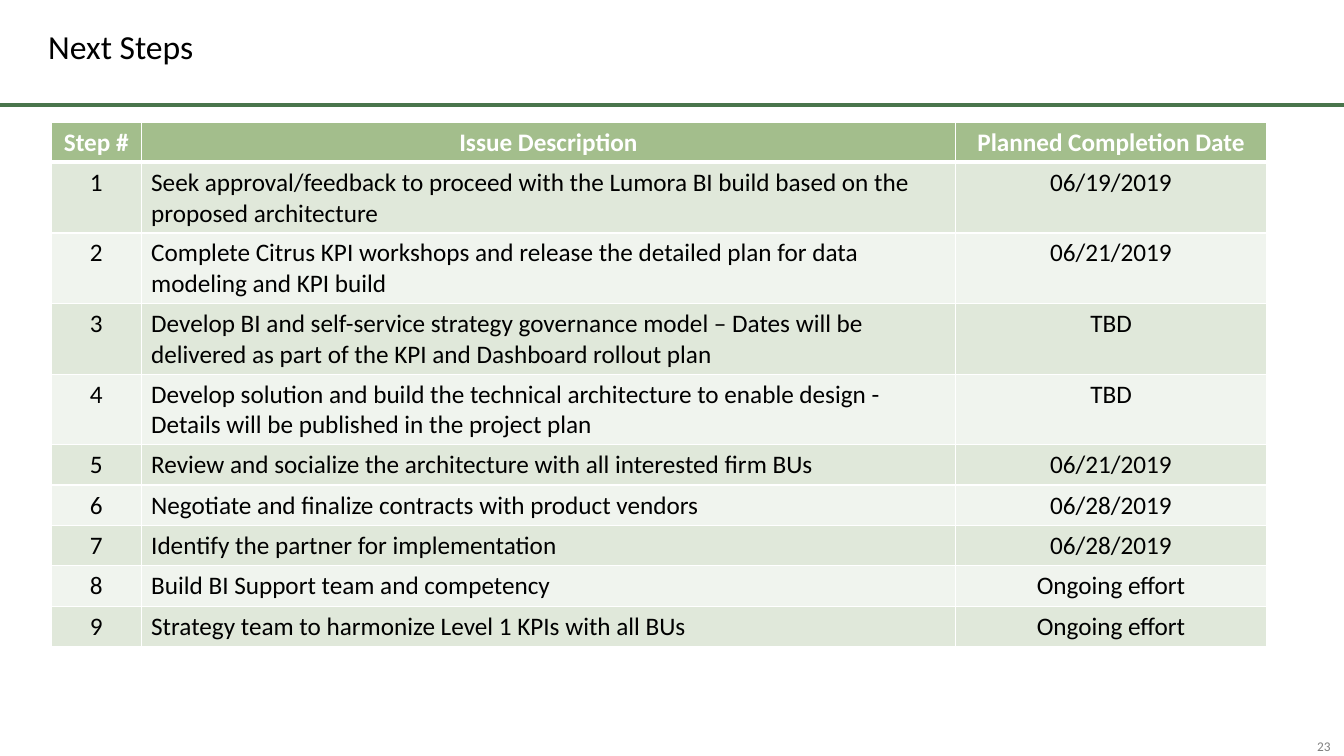
from dataclasses import dataclass

from lxml import etree
from pptx import Presentation
from pptx import util as u
from pptx.dml.color import RGBColor
from pptx.enum import shapes, text
from pptx.oxml import ns
from pptx.slide import Slide
from pptx.table import _Cell
from pptx.text.text import TextFrame

WHITE = RGBColor(0xFF, 0xFF, 0xFF)
BLACK = RGBColor(0x00, 0x00, 0x00)
GRAY = RGBColor(0x80, 0x80, 0x80)
RULE_GREEN = RGBColor(0x49, 0x75, 0x4C)
HEADER_GREEN = RGBColor(0xA3, 0xBE, 0x8C)
BANDS = (RGBColor(0xE0, 0xE8, 0xDA), RGBColor(0xF0, 0xF4, 0xEE))

FONT = "Calibri"
CENTER = text.PP_ALIGN.CENTER
LEFT = text.PP_ALIGN.LEFT
COLUMN_WIDTHS = (0.89, 8.08, 3.08)
COLUMN_ALIGNS = (CENTER, LEFT, CENTER)
HEADINGS = ("Step #", "Issue Description", "Planned Completion Date")
ONE_LINE, TWO_LINES = 0.4, 0.7


@dataclass(frozen=True)
class Step:
    description: str
    due: str
    height: float = ONE_LINE


@dataclass(frozen=True)
class Label:
    wording: str
    left: float
    top: float
    width: float
    height: float
    size: float
    color: RGBColor
    align: text.PP_ALIGN
    inset_x: float = 0
    inset_y: float = 0
    spacing: float = 1.0


STEPS = (
    Step("Seek approval/feedback to proceed with the Lumora BI build based on the "
         "proposed architecture", "06/19/2019", TWO_LINES),
    Step("Complete Citrus KPI workshops and release the detailed plan for data "
         "modeling and KPI build", "06/21/2019", TWO_LINES),
    Step("Develop BI and self-service strategy governance model – Dates will be "
         "delivered as part of the KPI and Dashboard rollout plan", "TBD", TWO_LINES),
    Step("Develop solution and build the technical architecture to enable design - "
         "Details will be published in the project plan", "TBD", TWO_LINES),
    Step("Review and socialize the architecture with all interested firm BUs", "06/21/2019"),
    Step("Negotiate and finalize contracts with product vendors", "06/28/2019"),
    Step("Identify the partner for implementation", "06/28/2019"),
    Step("Build BI Support team and competency", "Ongoing effort"),
    Step("Strategy team to harmonize Level 1 KPIs with all BUs", "Ongoing effort"),
)

LABELS = (
    Label("23", 12.92, 7.32, 0.42, 0.17, 9.5, GRAY, CENTER),
    Label("Next Steps", 0.38, 0.06, 12.58, 0.85, 24, BLACK, LEFT, 0.1, 0.05, 0.9),
)


def write(frame: TextFrame, wording: str, size: float, color: RGBColor,
          align: text.PP_ALIGN, bold: bool = False, spacing: float = 1.0) -> None:
    paragraph = frame.paragraphs[0]
    paragraph.alignment = align
    paragraph.line_spacing = spacing
    run = paragraph.add_run()
    run.text = wording
    run.font.name = FONT
    run.font.size = u.Pt(size)
    run.font.bold = bold
    run.font.color.rgb = color


def add_label(slide: Slide, label: Label) -> None:
    box = slide.shapes.add_textbox(u.Inches(label.left), u.Inches(label.top),
                                   u.Inches(label.width), u.Inches(label.height))
    frame = box.text_frame
    frame.word_wrap = True
    frame.vertical_anchor = text.MSO_ANCHOR.MIDDLE
    frame.margin_left = frame.margin_right = u.Inches(label.inset_x)
    frame.margin_top = frame.margin_bottom = u.Inches(label.inset_y)
    write(frame, label.wording, label.size, label.color, label.align,
          spacing=label.spacing)


def add_rule(slide: Slide) -> None:
    rule = slide.shapes.add_connector(shapes.MSO_CONNECTOR.STRAIGHT, u.Inches(0),
                                      u.Inches(1.04), u.Inches(13.33), u.Inches(1.04))
    rule.line.color.rgb = RULE_GREEN
    rule.line.width = u.Pt(2.75)
    etree.SubElement(rule._element.spPr, ns.qn("a:effectLst"))


def set_borders(cell: _Cell, top: float, bottom: float) -> None:
    properties = cell._tc.get_or_add_tcPr()
    for side, width in (("L", 1), ("R", 1), ("T", top), ("B", bottom)):
        border = etree.SubElement(properties, ns.qn(f"a:ln{side}"), w=str(u.Pt(width)))
        fill = etree.SubElement(border, ns.qn("a:solidFill"))
        etree.SubElement(fill, ns.qn("a:srgbClr"), val=str(WHITE))


def add_steps_table(slide: Slide) -> None:
    rows = [HEADINGS] + [(str(number), step.description, step.due)
                         for number, step in enumerate(STEPS, 1)]
    heights = [ONE_LINE] + [step.height for step in STEPS]
    table = slide.shapes.add_table(
        len(rows), len(HEADINGS), u.Inches(0.51), u.Inches(1.21),
        u.Inches(sum(COLUMN_WIDTHS)), u.Inches(sum(heights))).table
    for column, width in zip(table.columns, COLUMN_WIDTHS):
        column.width = u.Inches(width)
    for index, (wordings, height) in enumerate(zip(rows, heights)):
        table.rows[index].height = u.Inches(height)
        is_header = index == 0
        for column, wording in enumerate(wordings):
            cell = table.cell(index, column)
            set_borders(cell, top=3 if index == 1 else 1, bottom=3 if is_header else 1)
            cell.fill.solid()
            cell.fill.fore_color.rgb = HEADER_GREEN if is_header else BANDS[(index - 1) % 2]
            write(cell.text_frame, wording, 18, WHITE if is_header else BLACK,
                  CENTER if is_header else COLUMN_ALIGNS[column], bold=is_header)


def main() -> None:
    deck = Presentation()
    deck.slide_width = u.Inches(13.33)
    deck.slide_height = u.Inches(7.5)
    slide = deck.slides.add_slide(deck.slide_layouts[6])
    add_rule(slide)
    for label in LABELS:
        add_label(slide, label)
    add_steps_table(slide)
    deck.save("out.pptx")


if __name__ == "__main__":
    main()
